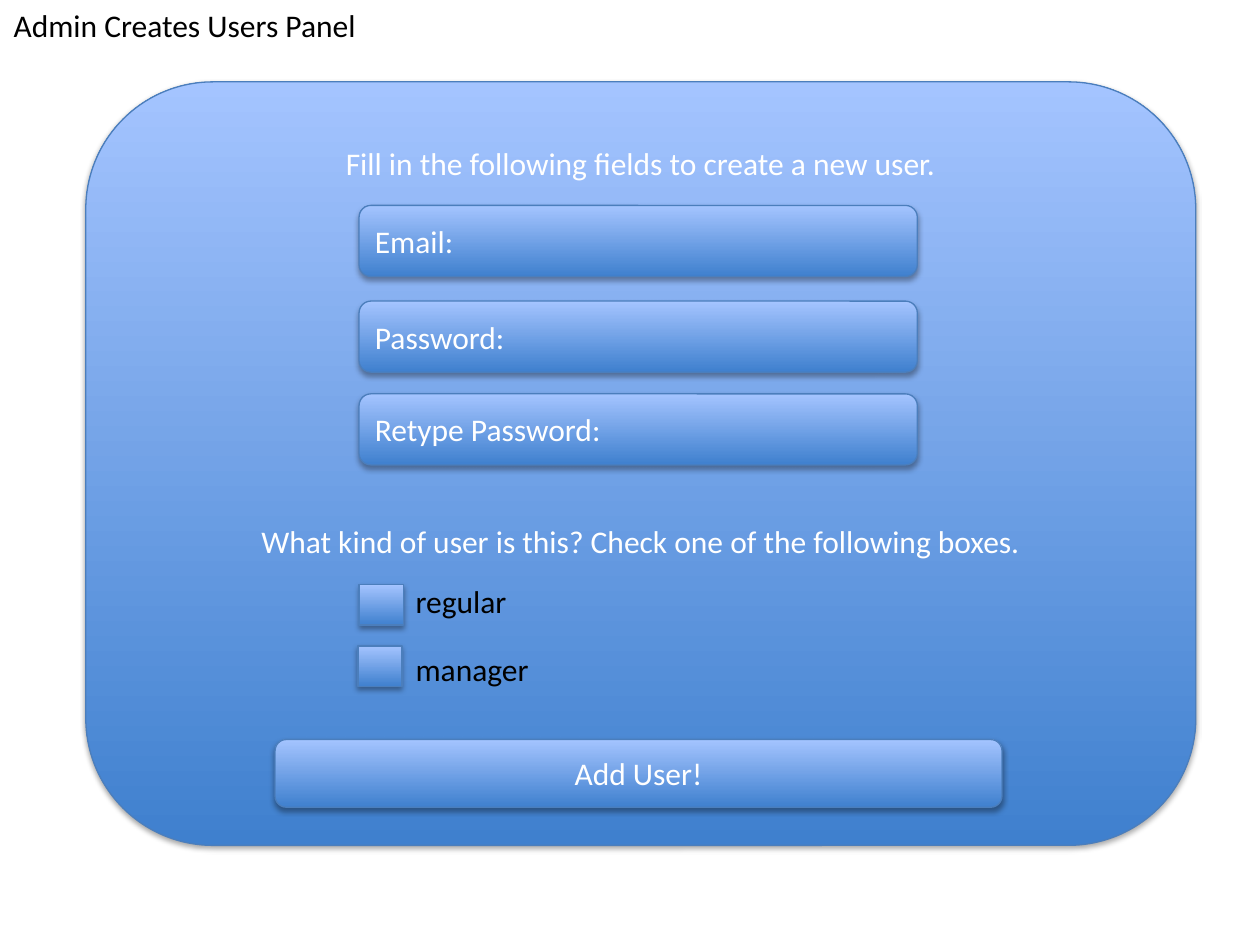
from dataclasses import dataclass

from lxml.etree import SubElement
from pptx import Presentation
from pptx.dml.color import RGBColor
from pptx.enum.shapes import MSO_SHAPE
from pptx.enum.text import MSO_ANCHOR, MSO_AUTO_SIZE, PP_ALIGN
from pptx.oxml.ns import qn
from pptx.shapes.autoshape import Shape
from pptx.slide import Slide
from pptx.text.text import _Paragraph
from pptx.util import Pt

COLORS = {
    "deep": "3F80CE",
    "light": "A4C4FF",
    "outline": "4B7EBC",
    "shadow": "000000",
    "white": "FFFFFF",
    "black": "000000",
}


@dataclass(frozen=True)
class Block:
    """A gradient block; lengths in points."""
    left: float
    top: float
    width: float
    height: float
    text: str = ""
    align: PP_ALIGN = PP_ALIGN.LEFT
    preset: MSO_SHAPE = MSO_SHAPE.ROUNDED_RECTANGLE


@dataclass(frozen=True)
class Label:
    left: float
    top: float
    width: float
    text: str
    wrap: bool = True


def color(name: str) -> RGBColor:
    return RGBColor.from_string(COLORS[name])


def style_text(paragraph: _Paragraph, text: str, color_name: str,
               align: PP_ALIGN = PP_ALIGN.LEFT) -> None:
    paragraph.text = text
    paragraph.alignment = align
    paragraph.font.name = "Calibri"
    paragraph.font.size = Pt(18)
    paragraph.font.color.rgb = color(color_name)


def add_soft_shadow(shape: Shape) -> None:
    shape.shadow.inherit = False
    effects = shape._element.spPr.find(qn("a:effectLst"))
    outer = SubElement(effects, qn("a:outerShdw"), blurRad=str(Pt(3.1)),
                       dist=str(Pt(1.8)), dir="5400000", rotWithShape="0")
    tint = SubElement(outer, qn("a:srgbClr"), val=COLORS["shadow"])
    SubElement(tint, qn("a:alpha"), val="35000")


def draw_block(slide: Slide, block: Block) -> Shape:
    shape = slide.shapes.add_shape(block.preset, Pt(block.left), Pt(block.top),
                                   Pt(block.width), Pt(block.height))
    shape.fill.gradient()
    shape.fill.gradient_angle = 90
    for stop, name in zip(shape.fill.gradient_stops, ("deep", "light")):
        stop.color.rgb = color(name)
    shape.line.color.rgb = color("outline")
    shape.line.width = Pt(0.75)
    add_soft_shadow(shape)
    shape.text_frame.vertical_anchor = MSO_ANCHOR.MIDDLE
    if block.text:
        style_text(shape.text_frame.paragraphs[0], block.text, "white", block.align)
    return shape


def draw_label(slide: Slide, label: Label) -> None:
    box = slide.shapes.add_textbox(Pt(label.left), Pt(label.top),
                                   Pt(label.width), Pt(29))
    box.text_frame.word_wrap = label.wrap
    box.text_frame.auto_size = MSO_AUTO_SIZE.SHAPE_TO_FIT_TEXT
    style_text(box.text_frame.paragraphs[0], label.text, "black")


def draw_panel(slide: Slide) -> None:
    panel = draw_block(slide, Block(49, 46.8, 634.3, 436.3))
    frame = panel.text_frame
    frame.vertical_anchor = MSO_ANCHOR.TOP
    frame.margin_top = Pt(14.4)
    style_text(frame.paragraphs[0],
               "Fill in the following fields to create a new user.",
               "white", PP_ALIGN.CENTER)
    question = frame.add_paragraph()
    style_text(question,
               "What kind of user is this? Check one of the following boxes.",
               "white", PP_ALIGN.CENTER)
    question.space_before = Pt(194)


def main() -> None:
    presentation = Presentation()
    presentation.slide_width, presentation.slide_height = Pt(720), Pt(540)
    slide = presentation.slides.add_slide(presentation.slide_layouts[6])

    # Title and panel with its two prompts
    draw_label(slide, Label(0.7, 0, 213, "Admin Creates Users Panel", wrap=False))
    draw_panel(slide)

    # Input fields
    for top, name in ((117.4, "Email:"), (172.1, "Password:"),
                      (225.1, "Retype Password:")):
        draw_block(slide, Block(205.2, top, 319, 40.6, name))

    # User type check boxes with their labels
    for left, top, label in (
        (205.2, 334.1, Label(230.4, 329, 231, "regular")),
        (204.5, 369.1, Label(230.4, 368, 209.5, "manager")),
    ):
        draw_block(slide, Block(left, top, 25.2, 23.2, preset=MSO_SHAPE.RECTANGLE))
        draw_label(slide, label)

    # Submit button
    draw_block(slide, Block(157.2, 422.6, 415.4, 38.7, "Add User!", PP_ALIGN.CENTER))

    presentation.save("out.pptx")


if __name__ == "__main__":
    main()
